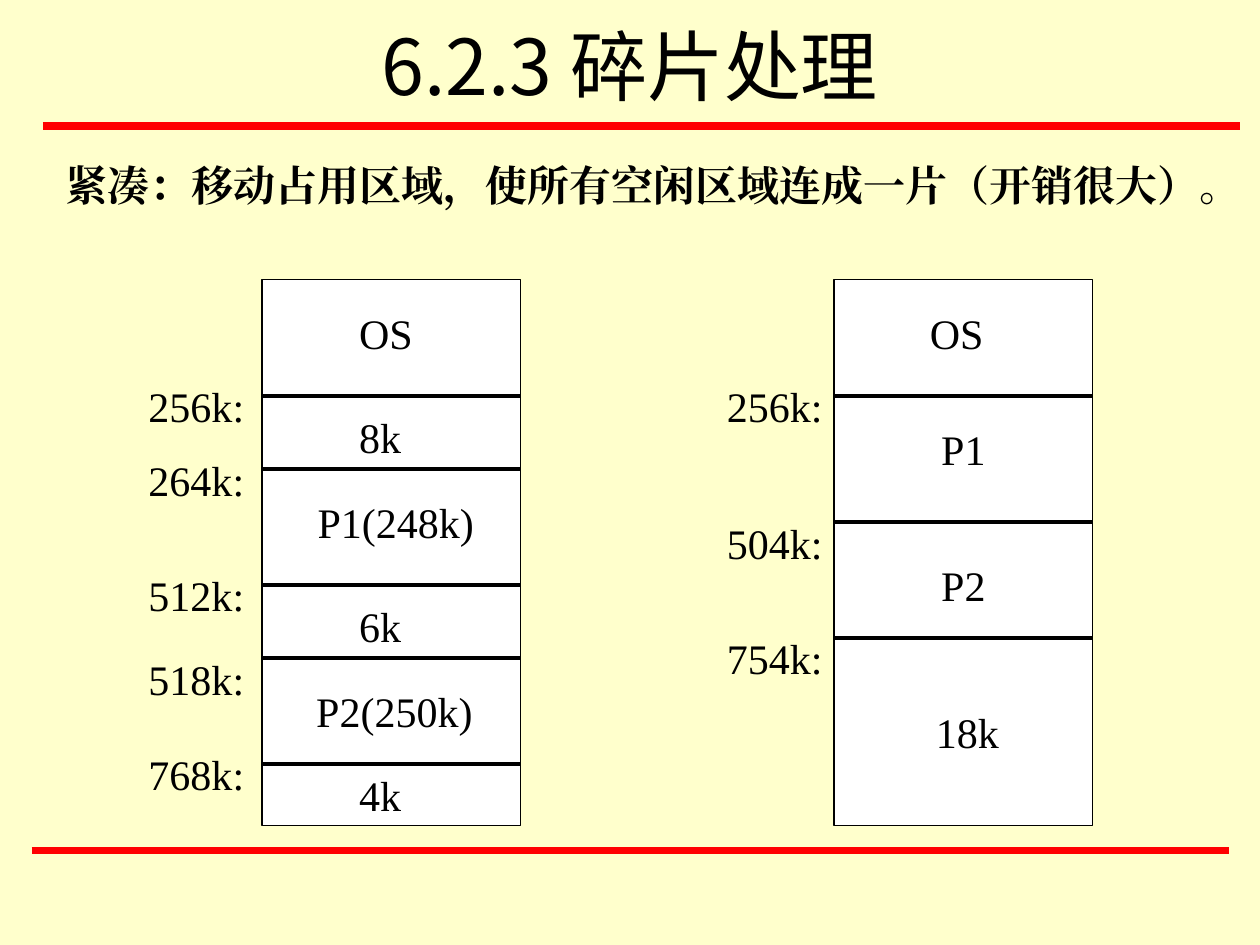
from pptx import Presentation
from pptx.dml.color import RGBColor
from pptx.enum.shapes import MSO_CONNECTOR, MSO_SHAPE
from pptx.enum.text import MSO_ANCHOR, PP_ALIGN
from pptx.oxml.ns import qn
from pptx.util import Inches, Pt
from lxml import etree

CREAM = RGBColor(0xFF, 0xFF, 0xCC)
RED = RGBColor(0xFF, 0x00, 0x00)
BLACK = RGBColor(0x00, 0x00, 0x00)
WHITE = RGBColor(0xFF, 0xFF, 0xFF)
BODY = {"name": "Times New Roman", "size": Pt(24), "bold": False}
BOLD = {**BODY, "bold": True}
TITLE = {"name": "Noto Sans CJK SC", "size": Pt(44), "bold": False}

prs = Presentation()
prs.slide_width, prs.slide_height = Inches(10), Inches(7.5)
s = prs.slides.add_slide(prs.slide_layouts[6])
s.background.fill.solid()
s.background.fill.fore_color.rgb = CREAM


def add_text(x, y, w, h, runs, indent=0):
    sp = s.shapes.add_textbox(Inches(x), Inches(y), Inches(w), Inches(h))
    tf = sp.text_frame
    tf.word_wrap = True
    tf.margin_left = Inches(0.1 + indent)
    for text, fmt in runs:
        r = tf.paragraphs[0].add_run()
        r.text = text
        for key, value in fmt.items():
            setattr(r.font, key, value)
        r.font.color.rgb = BLACK
        ea = etree.SubElement(r.font._element, qn("a:ea"))
        ea.set("typeface", fmt["name"])
    return tf


def add_line(x, y, length, color, width):
    line = s.shapes.add_connector(MSO_CONNECTOR.STRAIGHT, Inches(x), Inches(y),
                                  Inches(x + length), Inches(y))
    line.line.color.rgb = color
    line.line.width = Pt(width)
    etree.SubElement(line._element.spPr, qn("a:effectLst"))


# Red rules
for x, y in [(0.25, 6.75), (0.34, 1)]:
    add_line(x, y, 9.5, RED, 4.5)

# Title and explanation
tf = add_text(0.75, -0.11, 8.5, 1.25, [("6.2.3 碎片处理", TITLE)])
tf.vertical_anchor = MSO_ANCHOR.MIDDLE
tf.paragraphs[0].alignment = PP_ALIGN.CENTER
add_text(0.42, 1.22, 9.33, 0.5, [
    ("紧凑：移动占用区域，使所有空闲区域连成一片（开销很大）", BOLD),
    ("。", BODY),
])

# Memory maps before and after compaction
# regions: text, left, top, width, indent; addresses: text, top
MAPS = [
    {
        "left": 2.08,
        "dividers": [3.14, 3.72, 4.64, 5.22, 6.06],
        "regions": [
            ("OS", 2.42, 2.39, 1.33, 0.33),
            ("8k", 2.58, 3.22, 1.08, 0.17),
            ("P1(248k)", 2.17, 3.89, 1.75, 0.25),
            ("6k", 2.58, 4.72, 1.08, 0.17),
            ("P2(250k)", 2.33, 5.39, 1.67, 0.08),
            ("4k", 2.58, 6.06, 1.08, 0.17),
        ],
        "address_left": 1.08,
        "addresses": [("256k:", 2.97), ("264k:", 3.56), ("512k:", 4.47),
                      ("518k:", 5.14), ("768k:", 5.89)],
    },
    {
        "left": 6.62,
        "dividers": [3.14, 4.14, 5.06],
        "regions": [
            ("OS", 6.95, 2.39, 1.33, 0.33),
            ("P1", 6.95, 3.31, 1.42, 0.42),
            ("P2", 6.95, 4.39, 1.42, 0.42),
            ("18k", 7.33, 5.56, 0.83, 0),
        ],
        "address_left": 5.67,
        "addresses": [("256k:", 2.97), ("504k:", 4.06), ("754k:", 4.97)],
    },
]
MAP_WIDTH = 2.05

for memory in MAPS:
    # Frame and dividers
    sp = s.shapes.add_shape(MSO_SHAPE.RECTANGLE, Inches(memory["left"]), Inches(2.22),
                            Inches(MAP_WIDTH), Inches(4.33))
    sp.shadow.inherit = False
    sp.fill.solid()
    sp.fill.fore_color.rgb = WHITE
    sp.line.color.rgb = BLACK
    sp.line.width = Pt(0.75)
    for y in memory["dividers"]:
        add_line(memory["left"], y, MAP_WIDTH, BLACK, 2.25)

    # Region names and start addresses
    for text, x, y, w, indent in memory["regions"]:
        add_text(x, y, w, 0.5, [(text, BODY)], indent)
    for text, y in memory["addresses"]:
        add_text(memory["address_left"], y, 1.08, 0.5, [(text, BODY)])

prs.save("out.pptx")
